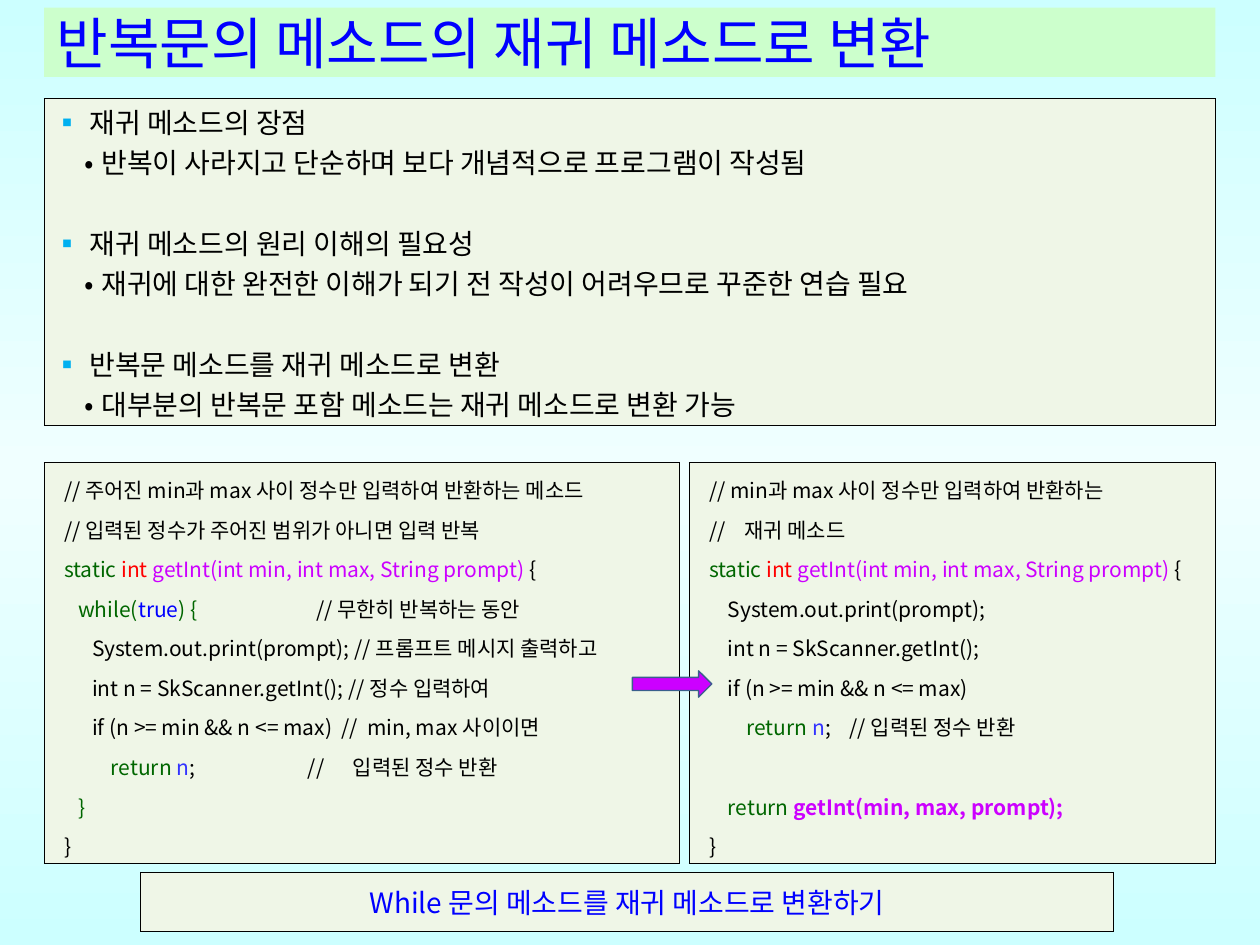
from typing import NamedTuple

from lxml import etree
from pptx import Presentation
from pptx.dml.color import RGBColor
from pptx.enum import shapes, text
from pptx.oxml import ns
from pptx.util import Pt

FONT = "Noto Sans CJK KR"
BLACK, BLUE, GREEN, RED = "000000", "0000FF", "006600", "FF0000"
MAGENTA, INDIGO, SKY, CREAM = "CC00FF", "3333FF", "00B0F0", "EFF6E7"
LEFT, WIDTH = 25.2, 669.3
CODE_TOP, CODE_HEIGHT = 264.2, 229.2
BULLET_GAP, CODE_GAP = 23.2, 22.6


class Area(NamedTuple):
    left: float
    top: float
    width: float
    height: float

    def lengths(self):
        return [Pt(value) for value in self]


class Span(NamedTuple):
    text: str
    color: str = BLACK
    bold: bool = False


class Line(NamedTuple):
    spans: list[Span]
    gap: float = 0


class Bullet(NamedTuple):
    char: str
    color: str
    margin: float
    hang: float


SQUARE = Bullet("▪", SKY, 21, 20.6)
DOT = Bullet("•", BLACK, 27.8, 9.5)

TOPICS = [
    ("재귀 메소드의 장점", "반복이 사라지고 단순하며 보다 개념적으로 프로그램이 작성됨"),
    ("재귀 메소드의 원리 이해의 필요성",
     "재귀에 대한 완전한 이해가 되기 전 작성이 어려우므로 꾸준한 연습 필요"),
    ("반복문 메소드를 재귀 메소드로 변환",
     "대부분의 반복문 포함 메소드는 재귀 메소드로 변환 가능"),
]

SIGNATURE = Line([Span("static ", GREEN), Span("int ", RED),
                  Span("getInt(int min, int max, String prompt) ", MAGENTA), Span("{")])
LOOP_CODE = [
    Line([Span("// 주어진 min과 max 사이 정수만 입력하여 반환하는 메소드")]),
    Line([Span("// 입력된 정수가 주어진 범위가 아니면 입력 반복")]),
    SIGNATURE,
    Line([Span("   while(", GREEN), Span("true", BLUE), Span(") { \t", GREEN),
          Span("// 무한히 반복하는 동안")]),
    Line([Span("      System.out.print(prompt); // 프롬프트 메시지 출력하고")]),
    Line([Span("      int n = SkScanner.getInt(); // 정수 입력하여")]),
    Line([Span("      if (n >= min && n <= max)  //  min, max 사이이면")]),
    Line([Span("          return ", GREEN), Span("n", INDIGO),
          Span(";                        //      입력된 정수 반환")]),
    Line([Span("   }", GREEN)]),
    Line([Span("}")]),
]
RECURSIVE_CODE = [
    Line([Span("// min과 max 사이 정수만 입력하여 반환하는")]),
    Line([Span("//    재귀 메소드")]),
    SIGNATURE,
    Line([Span("    System.out.print(prompt);")]),
    Line([Span("    int n = SkScanner.getInt();")]),
    Line([Span("    if (n >= min && n <= max)")]),
    Line([Span("        return ", GREEN), Span("n", INDIGO), Span(";    // 입력된 정수 반환")]),
    Line([Span("    return ", GREEN), Span("getInt(min, max, prompt);", MAGENTA, True)], CODE_GAP),
    Line([Span("}")]),
]


def rgb(color: str) -> RGBColor:
    return RGBColor.from_string(color)


def add_xml(parent, tag: str, **attributes):
    return etree.SubElement(parent, ns.qn(tag), attributes)


def add_span(para, span: Span, size: float) -> None:
    """Add a run in the slide font, with pair kerning off."""
    run = para.add_run()
    run.text = span.text
    run.font.size, run.font.name, run.font.bold = Pt(size), FONT, span.bold
    run.font.color.rgb = rgb(span.color)
    properties = run.font._element
    properties.set("kern", "0")
    add_xml(properties, "a:ea", typeface=FONT)


def next_para(frame, index: int):
    return frame.add_paragraph() if index else frame.paragraphs[0]


def add_panel(page, area: Area, inset: float):
    """Add a bordered one-cell table and return its text frame."""
    table = page.shapes.add_table(1, 1, *area.lengths()).table
    table.first_row = table.horz_banding = False
    cell = table.cell(0, 0)
    properties = cell._tc.get_or_add_tcPr()
    for side in ("a:lnL", "a:lnR", "a:lnT", "a:lnB"):
        border = add_xml(properties, side, w=str(Pt(0.28)))
        add_xml(add_xml(border, "a:solidFill"), "a:srgbClr", val=BLACK)
    cell.fill.solid()
    cell.fill.fore_color.rgb = rgb(CREAM)
    cell.vertical_anchor = text.MSO_ANCHOR.MIDDLE
    cell.margin_left = cell.margin_right = Pt(inset)
    cell.margin_top = cell.margin_bottom = Pt(1.4)
    return cell.text_frame


def set_bullet(para, bullet: Bullet) -> None:
    properties = para._p.get_or_add_pPr()
    properties.set("marL", str(Pt(bullet.margin)))
    properties.set("indent", str(-Pt(bullet.hang)))
    add_xml(add_xml(properties, "a:buClr"), "a:srgbClr", val=bullet.color)
    add_xml(properties, "a:buFont", typeface=FONT)
    add_xml(properties, "a:buChar", char=bullet.char)


def add_topics(page, area: Area) -> None:
    frame = add_panel(page, area, 5)
    items = [item for head, detail in TOPICS for item in ((SQUARE, head), (DOT, detail))]
    for index, (bullet, words) in enumerate(items):
        para = next_para(frame, index)
        set_bullet(para, bullet)
        if index and bullet is SQUARE:
            para.space_before = Pt(BULLET_GAP)
        add_span(para, Span(words), 16)


def add_code(page, area: Area, lines: list[Line]) -> None:
    frame = add_panel(page, area, 1.4)
    for index, line in enumerate(lines):
        para = next_para(frame, index)
        properties = para._p.get_or_add_pPr()
        properties.set("marL", str(Pt(10)))
        if any("\t" in span.text for span in line.spans):
            add_xml(add_xml(properties, "a:tabLst"), "a:tab", pos=str(Pt(144)), algn="l")
        para.alignment = text.PP_ALIGN.JUSTIFY
        para.line_spacing = 1.3
        if line.gap:
            para.space_before = Pt(line.gap)
        for span in line.spans:
            add_span(para, span, 12)


def set_background(page) -> None:
    fill = page.background.fill
    fill.gradient()
    fill.gradient_angle = 90
    stops = page._element.find(".//" + ns.qn("a:gsLst"))
    for stop in list(stops):
        stops.remove(stop)
    for position, color in ((0, "CCFFFF"), (50, "F0FFFF"), (100, "CCFFFF")):
        add_xml(add_xml(stops, "a:gs", pos=str(position * 1000)), "a:srgbClr", val=color)


def add_title(page, area: Area, words: str) -> None:
    box = page.shapes.add_textbox(*area.lengths())
    box.fill.solid()
    box.fill.fore_color.rgb = rgb("CCFFCC")
    frame = box.text_frame
    frame.word_wrap = True
    frame.vertical_anchor = text.MSO_ANCHOR.MIDDLE
    add_span(frame.paragraphs[0], Span(words, BLUE), 32)


def add_arrow(page, area: Area) -> None:
    arrow = page.shapes.add_shape(shapes.MSO_SHAPE.RIGHT_ARROW, *area.lengths())
    arrow.shadow.inherit = False
    arrow.fill.solid()
    arrow.fill.fore_color.rgb = rgb(MAGENTA)
    arrow.line.color.rgb = rgb("3A5F8C")
    arrow.line.width = Pt(0.75)


def main() -> None:
    deck = Presentation()
    deck.slide_width, deck.slide_height = Pt(720), Pt(540)
    page = deck.slides.add_slide(deck.slide_layouts[6])
    set_background(page)
    add_title(page, Area(LEFT, 4.3, WIDTH, 39.6), "반복문의 메소드의 재귀 메소드로 변환")
    add_topics(page, Area(LEFT, 56.2, WIDTH, 187))
    add_code(page, Area(LEFT, CODE_TOP, 362.9, CODE_HEIGHT), LOOP_CODE)
    add_code(page, Area(393.8, CODE_TOP, 300.7, CODE_HEIGHT), RECURSIVE_CODE)
    caption = add_panel(page, Area(80.4, 498.4, 556, 33.8), 5).paragraphs[0]
    caption.alignment = text.PP_ALIGN.CENTER
    add_span(caption, Span("While 문의 메소드를 재귀 메소드로 변환하기", BLUE), 16)
    add_arrow(page, Area(361.4, 383.3, 45.4, 15.1))
    deck.save("out.pptx")


if __name__ == "__main__":
    main()
